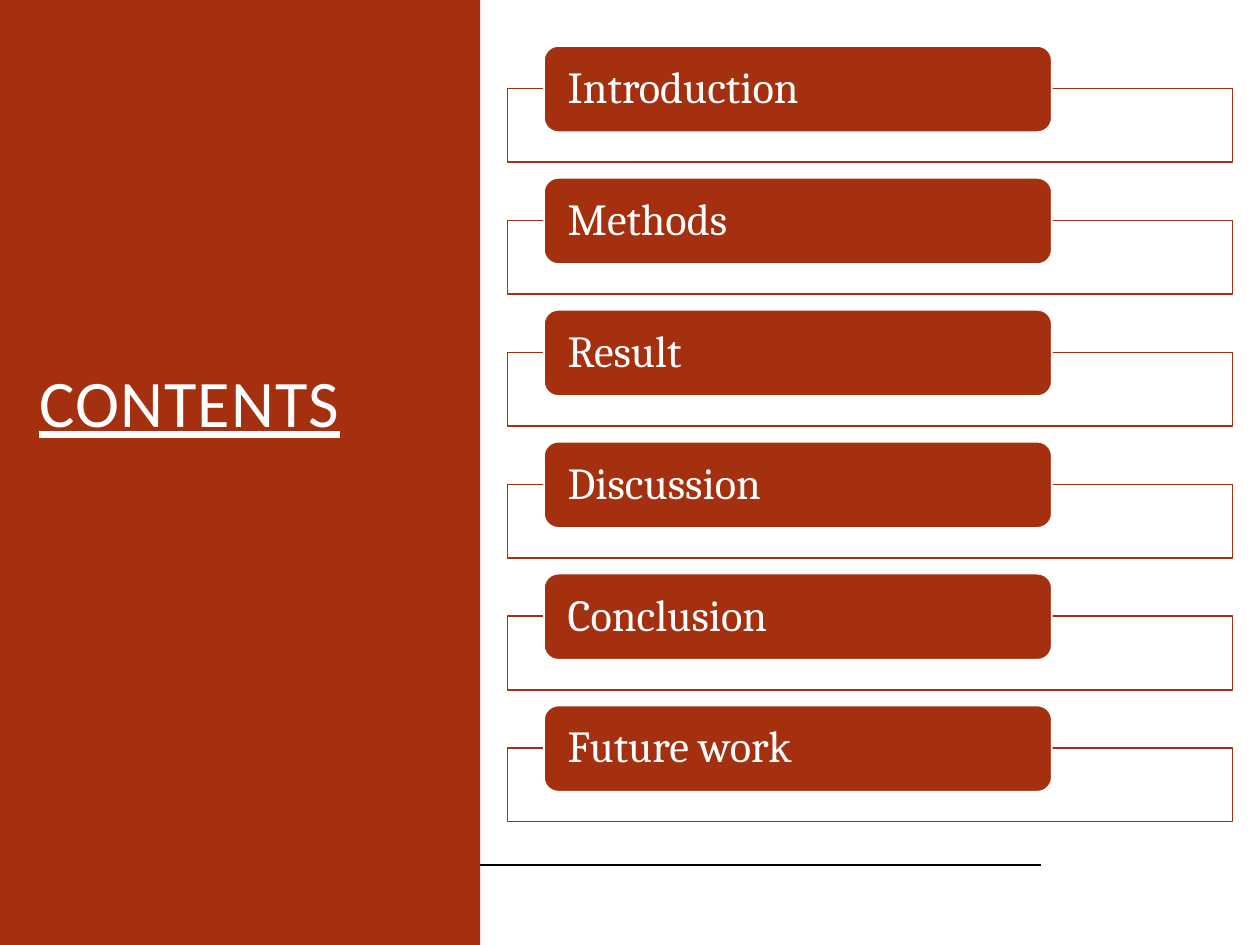
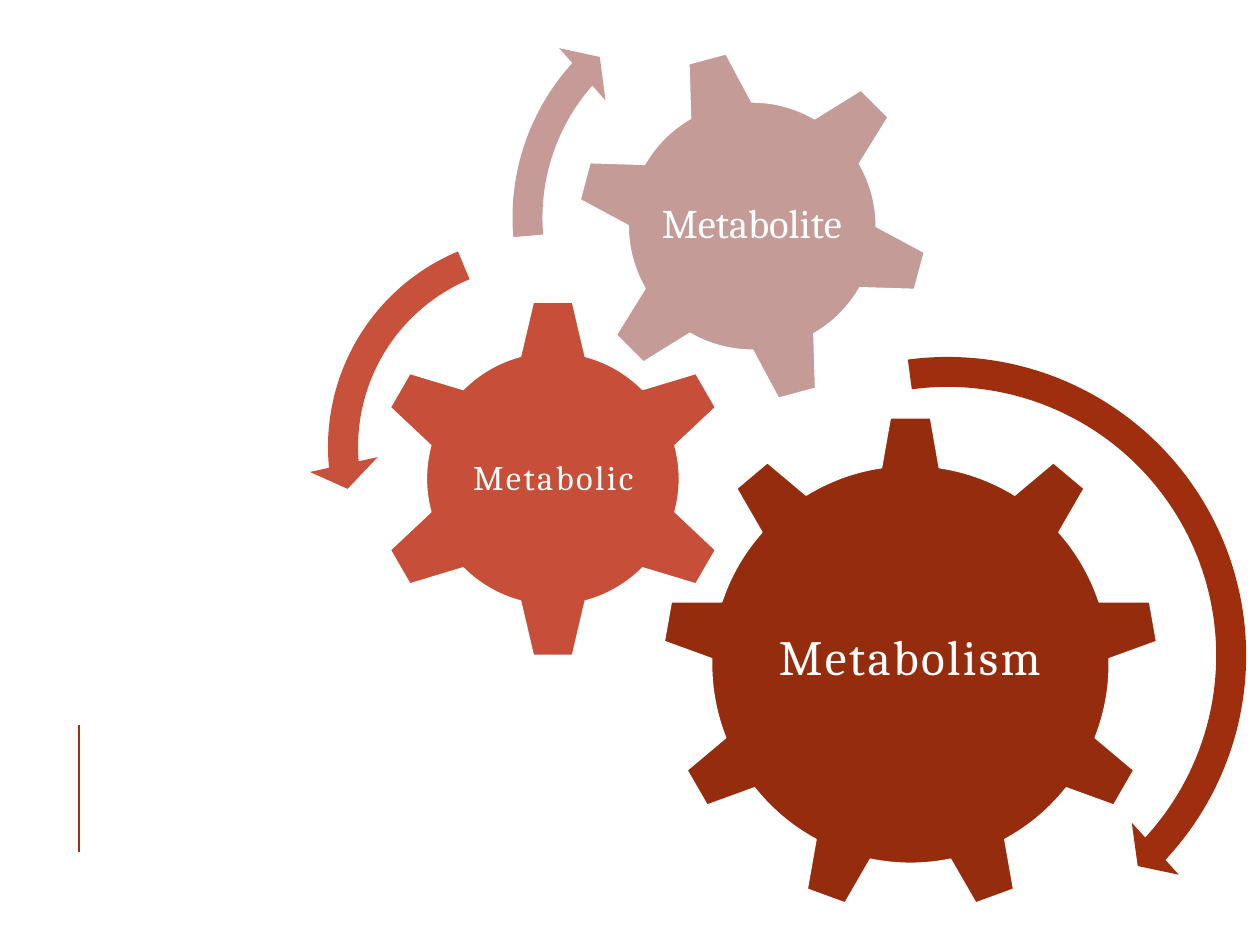
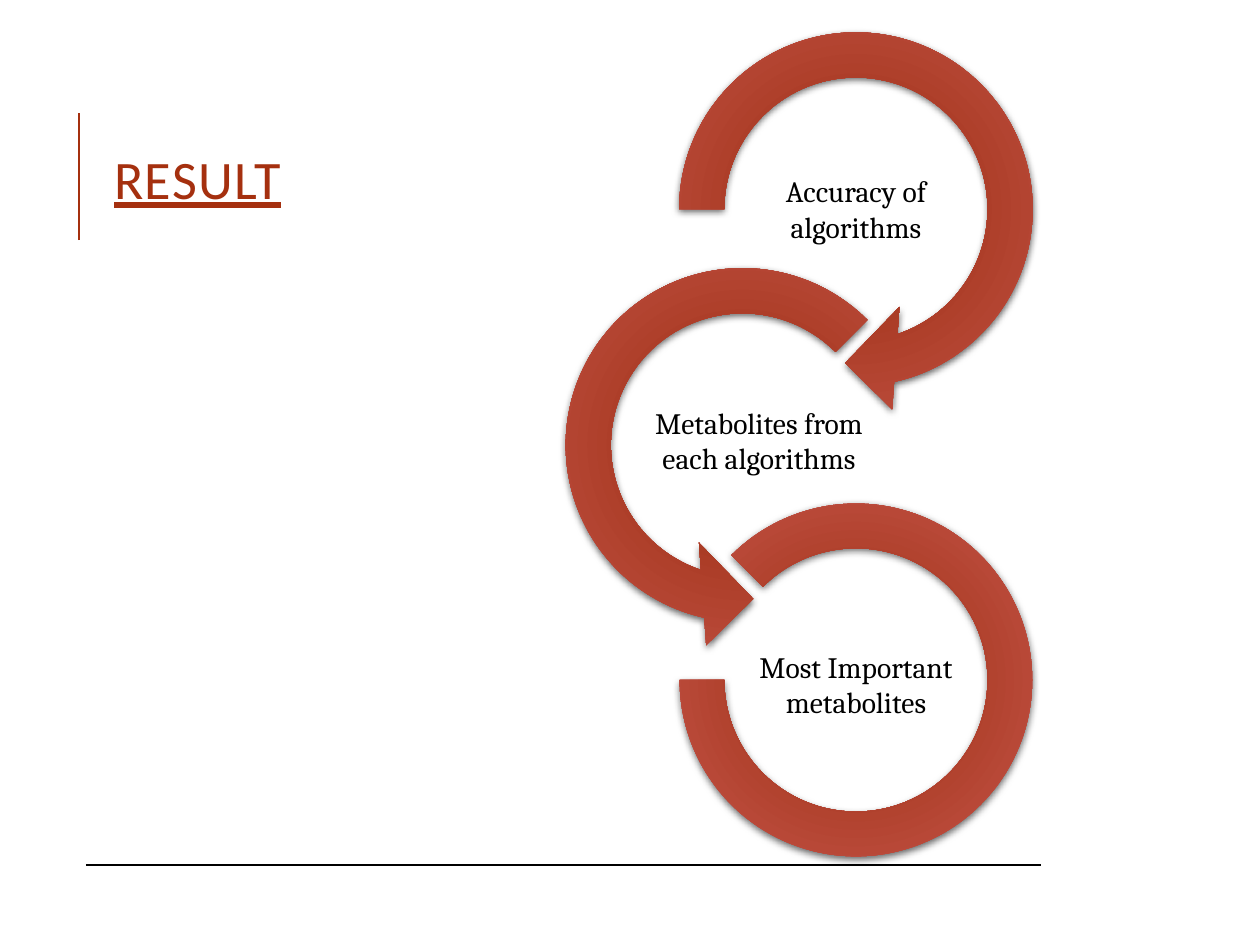
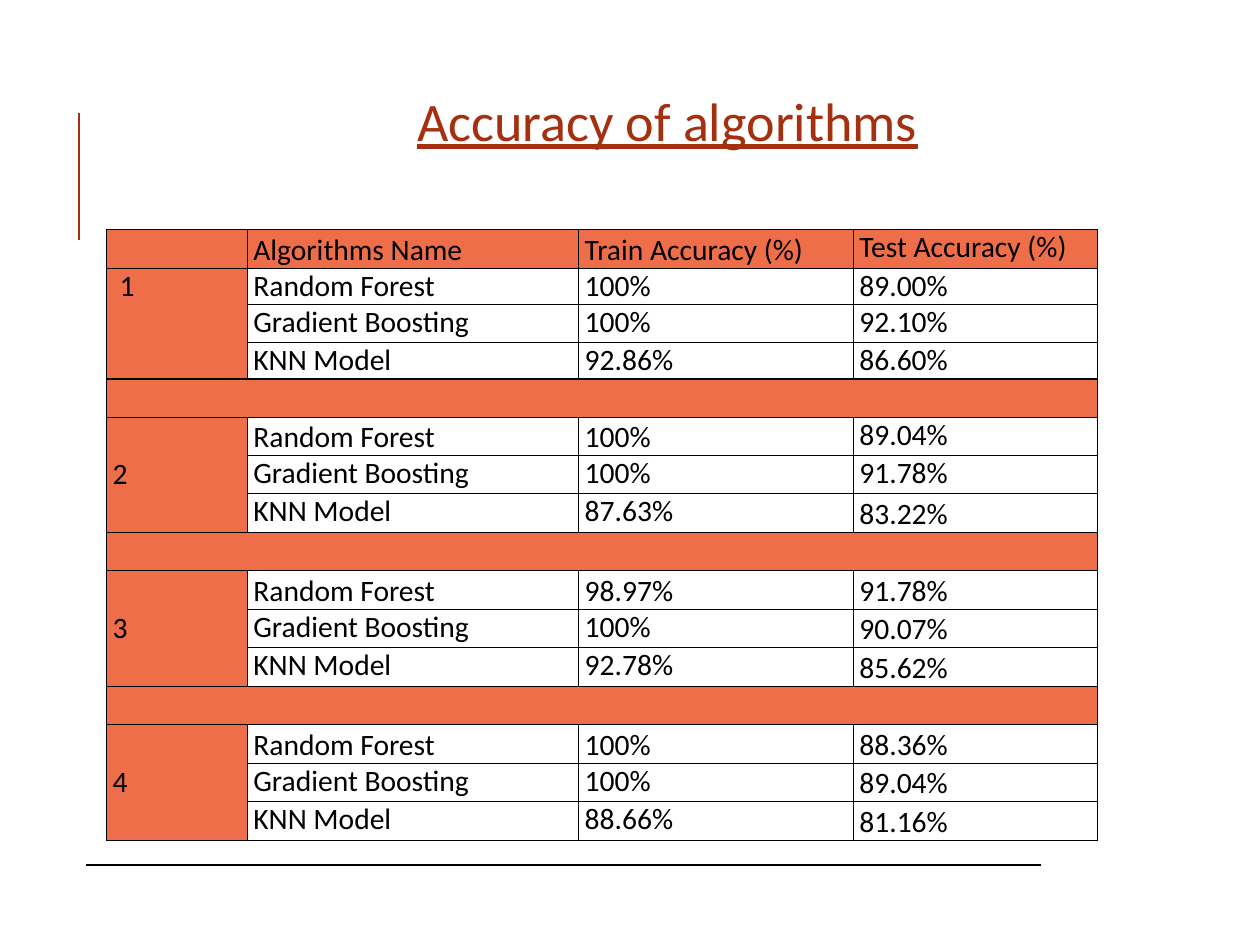
from lxml.etree import SubElement
from pptx import Presentation
from pptx.dml.color import RGBColor
from pptx.enum.shapes import MSO_CONNECTOR, MSO_SHAPE
from pptx.enum.text import MSO_ANCHOR, MSO_AUTO_SIZE, PP_ALIGN
from pptx.oxml import parse_xml
from pptx.oxml.ns import nsdecls, qn
from pptx.util import Inches, Pt

COLORS = {
    "rust": "A5300F", "white": "FFFFFF", "black": "000000", "orange": "EE6E4A",
    "gear_dark": "962C0E", "gear_mid": "C74F39", "gear_light": "C59B98",
    "arrow_dark": "9E2E0E", "arrow_mid": "C8513C", "arrow_light": "C69A97",
    "ring_start": "9A2D0E", "ring_end": "C5544A",
}
HEADING_FONT = "Calibri"
DIAGRAM_FONT = "Cambria"
TITLE_ONLY, BLANK = 5, 6

CONTENTS = ["Introduction", "Methods", "Result", "Discussion", "Conclusion", "Future work"]
CONTENTS_PITCH = 1.488

GEARS = [
    ("Metabolism", MSO_SHAPE.GEAR_9, (7.47, 4.69, 5.61, 5.61), 0, "gear_dark",
     (8.59, 6, 3.36, 2.89), 40, 2),
    ("Metabolic", MSO_SHAPE.GEAR_6, (4.2, 3.36, 4.08, 4.08), 0, "gear_mid",
     (5.23, 4.4, 2.03, 2.01), 28, 2),
    ("Metabolite", MSO_SHAPE.GEAR_6, (6.49, 0.55, 4, 4), 345, "gear_light",
     (7.36, 1.42, 2.25, 2.25), 33, 0),
]
GEAR_ARROWS = [
    (MSO_SHAPE.CIRCULAR_ARROW, (7.1, 3.8, 7.19, 7.19), "arrow_dark",
     (0.047, 2.99, 25.75, 157.4, 0.055)),
    (MSO_SHAPE.LEFT_CIRCULAR_ARROW, (3.48, 2.43, 5.22, 5.22), "arrow_mid",
     (0.065, 4.3, 104.89, 148.38, 0.075)),
    (MSO_SHAPE.CIRCULAR_ARROW, (5.56, -0.36, 5.63, 5.63), "arrow_light",
     (0.06, 3.94, 133.14, 105.08, 0.07)),
]
RESULT_RINGS = [
    ("Accuracy of algorithms", MSO_SHAPE.CIRCULAR_ARROW, (7.34, 0.04, 4.64, 4.64),
     (0.11, 11.42, 45, 108, 0.125), (8.37, 1.71, 2.58, 1.29)),
    ("Metabolites from each algorithms", MSO_SHAPE.LEFT_CIRCULAR_ARROW, (6.06, 2.7, 4.64, 4.64),
     (0.11, 11.42, 63, 189, 0.125), (7.07, 4.32, 2.99, 1.29)),
    ("Most Important metabolites", MSO_SHAPE.BLOCK_ARC, (7.67, 5.68, 3.98, 3.98),
     (135, 108, 0.127), (8.37, 7.07, 2.58, 1.29)),
]

TABLE_HEADER = ["", "Algorithms Name", "Train Accuracy (%)", "Test Accuracy (%)"]
ALGORITHMS = ["Random Forest", "Gradient Boosting", "KNN Model"]
ACCURACIES = [
    [("100%", "89.00%"), ("100%", "92.10%"), ("92.86%", "86.60%")],
    [("100%", "89.04%"), ("100%", "91.78%"), ("87.63%", "83.22%")],
    [("98.97%", "91.78%"), ("100%", "90.07%"), ("92.78%", "85.62%")],
    [("100%", "88.36%"), ("100%", "89.04%"), ("88.66%", "81.16%")],
]
LOOSE_LINES = {0: {1, 2}, 5: {1, 2}, 7: {3}, 9: {1, 2, 3}, 10: {3}, 11: {3},
               13: {1, 2, 3}, 14: {3}, 15: {3}}
COLUMN_WIDTHS = [1.59, 3.74, 3.1, 2.76]
ROW_HEIGHT = 0.43
LOW_ROWS = {1: 0.41, 3: 0.41}


def rgb(name):
    return RGBColor.from_string(COLORS[name])


def box(lengths):
    return [Inches(length) for length in lengths]


def write_text(frame, text, *, size, font, color, align=PP_ALIGN.LEFT, spacing=None,
               underline=None, tracking=0, anchor=MSO_ANCHOR.MIDDLE, insets=None):
    frame.word_wrap = True
    frame.auto_size = MSO_AUTO_SIZE.NONE
    frame.vertical_anchor = anchor
    if insets:
        (frame.margin_left, frame.margin_top,
         frame.margin_right, frame.margin_bottom) = box(insets)
    paragraph = frame.paragraphs[0]
    paragraph.alignment = align
    if spacing:
        paragraph.line_spacing = spacing
    run = paragraph.add_run()
    run.text = text
    run.font.size = Pt(size)
    run.font.name = font
    run.font.color.rgb = rgb(color)
    run.font.underline = underline
    if tracking:
        run._r.get_or_add_rPr().set("spc", str(tracking * 100))


def add_label(slide, text, lengths, **text_format):
    label = slide.shapes.add_textbox(*box(lengths))
    write_text(label.text_frame, text, font=DIAGRAM_FONT, align=PP_ALIGN.CENTER, **text_format)


def add_figure(slide, kind, lengths, fill=None, line=None, adjustments=()):
    shape = slide.shapes.add_shape(kind, *box(lengths))
    shape.shadow.inherit = False
    for index, value in enumerate(adjustments):
        shape.adjustments[index] = value
    if fill:
        shape.fill.solid()
        shape.fill.fore_color.rgb = rgb(fill)
    if line:
        shape.line.color.rgb = rgb(line)
        shape.line.width = Pt(1.25)
    else:
        shape.line.fill.background()
    return shape


def add_line(slide, start, end, color, width):
    line = slide.shapes.add_connector(MSO_CONNECTOR.STRAIGHT, *box(start + end))
    line.line.color.rgb = rgb(color)
    line.line.width = Pt(width)
    SubElement(line._element.spPr, qn("a:effectLst"))


def add_footer_line(slide):
    add_line(slide, (0.97, 9.76), (11.75, 9.76), "black", 1.25)


def add_accent_line(slide, top=1.28):
    add_line(slide, (0.89, top + 1.43), (0.89, top), "rust", 1.5)


def set_title(slide, text, lengths, **text_format):
    title = slide.shapes.title
    title.left, title.top, title.width, title.height = box(lengths)
    slide.shapes._spTree.append(title._element)
    write_text(title.text_frame, text, font=HEADING_FONT, underline=True, **text_format)


def shade_ring(ring):
    ring.fill.gradient()
    for stop, position, name in zip(ring.fill.gradient_stops, (0, 1), ("ring_start", "ring_end")):
        stop.position = position
        stop.color.rgb = rgb(name)
    properties = ring._element.spPr
    gradient = properties.find(qn("a:gradFill"))
    gradient.replace(gradient.find(qn("a:lin")), parse_xml(
        f'<a:path {nsdecls("a")} path="circle">'
        '<a:fillToRect l="100000" t="100000" r="100000" b="100000"/></a:path>'))
    properties.find(qn("a:effectLst")).append(parse_xml(
        f'<a:outerShdw {nsdecls("a")} blurRad="{Pt(6)}" dist="{Pt(2)}" dir="5400000" '
        f'rotWithShape="0"><a:srgbClr val="{COLORS["black"]}">'
        '<a:alpha val="60000"/></a:srgbClr></a:outerShdw>'))


def format_cell(cell, fill):
    properties = cell._tc.get_or_add_tcPr()
    for side in ("lnL", "lnR", "lnT", "lnB"):
        properties.append(parse_xml(
            f'<a:{side} {nsdecls("a")} w="{Pt(1)}"><a:solidFill>'
            f'<a:srgbClr val="{COLORS["black"]}"/></a:solidFill></a:{side}>'))
    if fill:
        cell.fill.solid()
        cell.fill.fore_color.rgb = rgb(fill)
    else:
        cell.fill.background()
    cell.margin_left = cell.margin_right = Inches(0.07)
    cell.margin_top = cell.margin_bottom = 0


def write_cell(cell, text, loose=False):
    paragraph = cell.text_frame.paragraphs[0]
    if loose:
        paragraph.line_spacing = 1.07
    run = paragraph.add_run()
    run.text = text
    run.font.size = Pt(24)
    run.font.name = HEADING_FONT
    run.font.color.rgb = rgb("black")


def build_contents(presentation):
    slide = presentation.slides.add_slide(presentation.slide_layouts[TITLE_ONLY])
    add_footer_line(slide)
    add_figure(slide, MSO_SHAPE.RECTANGLE, (0, 0, 5.42, 10.66), "rust")
    set_title(slide, "CONTENTS", (0.34, 0.28, 3.98, 8.66),
              size=54, color="white", spacing=0.8, tracking=1)
    for index, topic in enumerate(CONTENTS):
        top = 0.52 + index * CONTENTS_PITCH
        add_figure(slide, MSO_SHAPE.RECTANGLE, (5.73, top + 0.48, 8.18, 0.83), "white", "rust")
        bar = add_figure(slide, MSO_SHAPE.ROUNDED_RECTANGLE, (6.14, top, 5.73, 0.97),
                         "rust", "white")
        write_text(bar.text_frame, topic, size=36, font=DIAGRAM_FONT, color="white",
                   spacing=0.9, insets=(0.22, 0, 0.22, 0))


def build_gears(presentation):
    slide = presentation.slides.add_slide(presentation.slide_layouts[BLANK])
    add_accent_line(slide, top=8.18)
    for text, kind, lengths, rotation, fill, label, size, tracking in GEARS:
        gear = add_figure(slide, kind, lengths, fill, "white")
        gear.rotation = rotation
        add_label(slide, text, label, size=size, color="white", spacing=0.9,
                  tracking=tracking, insets=(0.05,) * 4)
    for kind, lengths, fill, adjustments in GEAR_ARROWS:
        add_figure(slide, kind, lengths, fill, adjustments=adjustments)


def build_result(presentation):
    slide = presentation.slides.add_slide(presentation.slide_layouts[TITLE_ONLY])
    add_footer_line(slide)
    add_accent_line(slide)
    set_title(slide, "RESULT", (1.19, 0.91, 5.37, 2.33),
              size=44, color="rust", spacing=0.8, tracking=1)
    for text, kind, lengths, adjustments, label in RESULT_RINGS:
        shade_ring(add_figure(slide, kind, lengths, adjustments=adjustments))
        add_label(slide, text, label, size=24, color="black", insets=(0.02,) * 4)


def build_accuracy(presentation):
    slide = presentation.slides.add_slide(presentation.slide_layouts[TITLE_ONLY])
    add_accent_line(slide)
    add_footer_line(slide)
    set_title(slide, "Accuracy of algorithms", (3.48, 0.93, 8.11, 0.84), size=44,
              color="rust", align=PP_ALIGN.CENTER, anchor=MSO_ANCHOR.TOP)

    rows = [TABLE_HEADER]
    for number, group in enumerate(ACCURACIES, 1):
        if number > 1:
            rows.append([""] * 4)
        for index, (algorithm, scores) in enumerate(zip(ALGORITHMS, group)):
            rows.append(["" if index else str(number), algorithm, *scores])

    heights = [LOW_ROWS.get(index, ROW_HEIGHT) for index in range(len(rows))]
    table = slide.shapes.add_table(
        len(rows), len(COLUMN_WIDTHS),
        *box((1.2, 2.59, sum(COLUMN_WIDTHS), sum(heights)))).table
    table.first_row = table.horz_banding = False
    for column, width in zip(table.columns, COLUMN_WIDTHS):
        column.width = Inches(width)
    for row_index, values in enumerate(rows):
        table.rows[row_index].height = Inches(heights[row_index])
        is_band = row_index == 0 or not any(values)
        for column_index, value in enumerate(values):
            cell = table.cell(row_index, column_index)
            format_cell(cell, "orange" if is_band or column_index == 0 else None)
            if value:
                write_cell(cell, value, column_index in LOOSE_LINES.get(row_index, ()))
        if not any(values):
            table.cell(row_index, 0).merge(table.cell(row_index, 3))
        elif values[0]:
            number_cell = table.cell(row_index, 0)
            number_cell.merge(table.cell(row_index + 2, 0))
            if row_index == 1:
                number_cell.margin_left = Inches(0.15)
            else:
                number_cell.vertical_anchor = MSO_ANCHOR.MIDDLE


def main():
    presentation = Presentation()
    presentation.slide_width = Inches(14.22)
    presentation.slide_height = Inches(10.66)
    for build in (build_contents, build_gears, build_result, build_accuracy):
        build(presentation)
    presentation.save("out.pptx")


if __name__ == "__main__":
    main()
